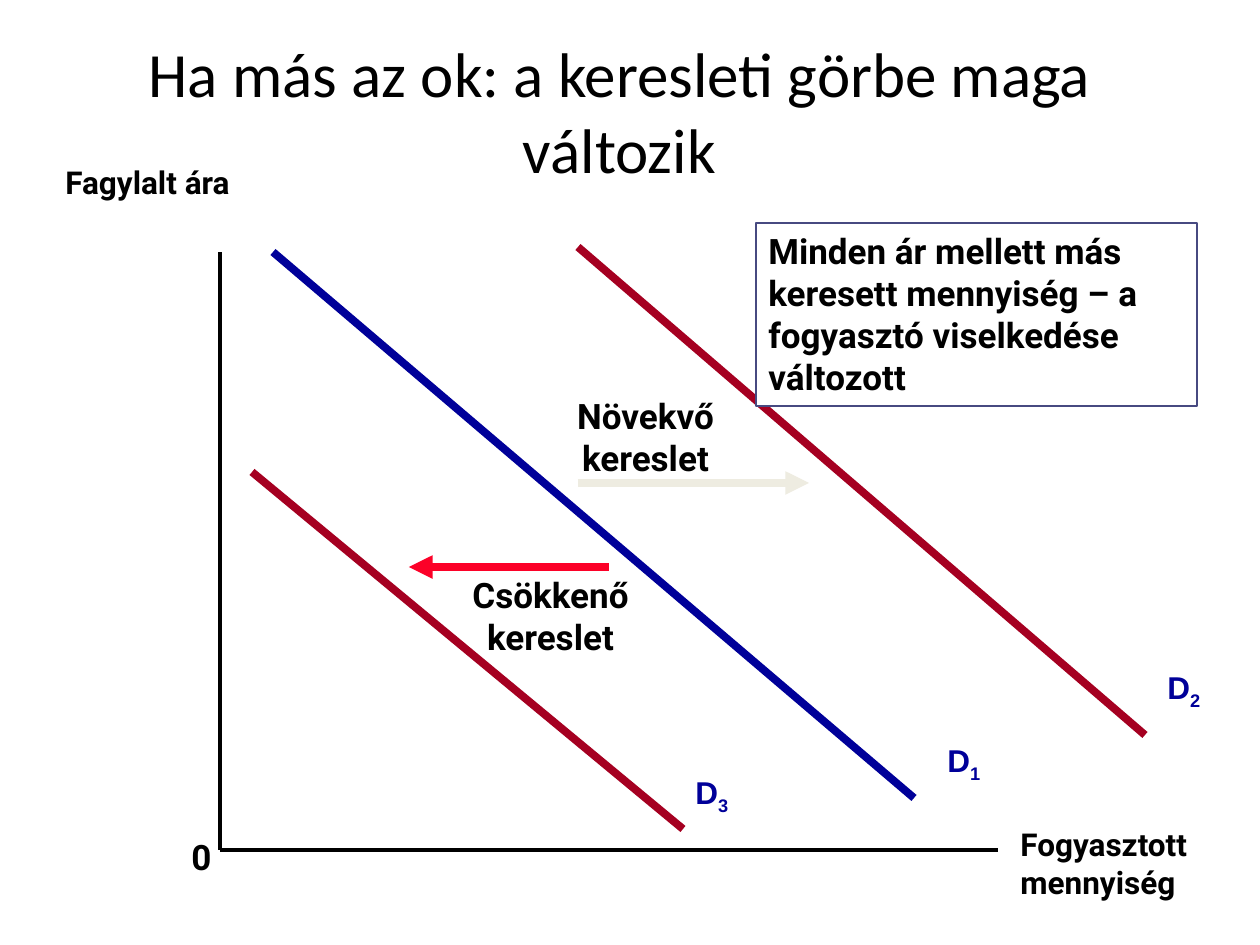
"""Build a slide on how the demand curve itself shifts."""
from dataclasses import dataclass

from lxml import etree
from pptx import Presentation
from pptx import util as u
from pptx.dml.color import RGBColor
from pptx.enum import shapes, text
from pptx.oxml import ns

SCALE = 914400 / 126


@dataclass(frozen=True)
class Theme:
    black: str = "000000"
    white: str = "FFFFFF"
    blue: str = "000099"
    wine: str = "A50021"
    red: str = "FC0128"
    sand: str = "EEECE1"
    edge: str = "474A81"
    head: int = 36
    body: int = 20
    small: int = 18
    thick: float = 4.5
    thin: float = 2.25
    rim: float = 1


T = Theme()


@dataclass(frozen=True)
class Line:
    start: tuple[int, int]
    end: tuple[int, int]
    color: str
    width: float = T.thick
    arrow: bool = False


@dataclass(frozen=True)
class Label:
    words: str
    box: tuple[int, int, int, int]
    size: int = T.body
    font: str = "Roboto"
    color: str = T.black
    bold: bool = True
    mid: bool = False
    sub: str = ""
    frame: bool = False


def px(*nums: int) -> list[u.Emu]:
    """Turn pixel lengths into EMU."""
    return [u.Emu(round(n * SCALE)) for n in nums]


def rgb(code: str) -> RGBColor:
    """Read a colour code."""
    return RGBColor.from_string(code)


def assign(item: object, fmt: dict) -> None:
    """Set each format value on an item."""
    for key, val in fmt.items():
        setattr(item, key, val)


def draw_line(slide, line: Line) -> None:
    """Draw a straight line, with an arrowhead if asked."""
    link = slide.shapes.add_connector(
        shapes.MSO_CONNECTOR.STRAIGHT, *px(*line.start, *line.end))
    link.line.width = u.Pt(line.width)
    link.line.color.rgb = rgb(line.color)
    props = link._element.spPr
    if line.arrow:
        tip = etree.SubElement(props.find(ns.qn("a:ln")), ns.qn("a:tailEnd"))
        tip.set("type", "triangle")
    etree.SubElement(props, ns.qn("a:effectLst"))


def draw_label(slide, label: Label) -> None:
    """Draw a text label, in a framed box if asked."""
    area = px(*label.box)
    if label.frame:
        shape = slide.shapes.add_shape(shapes.MSO_SHAPE.RECTANGLE, *area)
        shape.shadow.inherit = False
        shape.fill.solid()
        shape.fill.fore_color.rgb = rgb(T.white)
        shape.line.color.rgb = rgb(T.edge)
        shape.line.width = u.Pt(T.rim)
    else:
        shape = slide.shapes.add_textbox(*area)
    frame = shape.text_frame
    head = label.size == T.head
    assign(frame, {
        "word_wrap": True,
        "auto_size": (text.MSO_AUTO_SIZE.NONE if head
                      else text.MSO_AUTO_SIZE.SHAPE_TO_FIT_TEXT),
        "vertical_anchor": text.MSO_ANCHOR.MIDDLE if head else text.MSO_ANCHOR.TOP,
    })
    para = frame.paragraphs[0]
    para.alignment = text.PP_ALIGN.CENTER if label.mid else text.PP_ALIGN.LEFT
    fmt = {"name": label.font, "size": u.Pt(label.size), "bold": label.bold}
    for words in filter(None, (label.words, label.sub)):
        run = para.add_run()
        run.text = words
        assign(run.font, fmt)
        run.font.color.rgb = rgb(label.color)
    if label.sub:
        run._r.get_or_add_rPr().set("baseline", "-25000")


def curve(num: str, left: int, top: int) -> Label:
    """Name a demand curve."""
    return Label("D", (left, top, 105, 79), T.small, "Arial", T.blue, sub=num)


LINES = [
    Line((220, 252), (220, 850), T.black, T.thin),
    Line((220, 850), (998, 850), T.black, T.thin),
    Line((273, 252), (914, 798), T.blue),
    Line((578, 247), (1145, 735), T.wine),
    Line((252, 472), (683, 829), T.wine),
    Line((609, 567), (409, 567), T.red, arrow=True),
    Line((578, 483), (809, 483), T.sand, arrow=True),
]

LABELS = [
    Label("Ha más az ok: a keresleti görbe maga változik", (84, 32, 1071, 157),
          T.head, "Calibri", bold=False, mid=True),
    Label("0", (179, 829, 105, 54)),
    Label("Fagylalt ára", (53, 157, 210, 89), T.small),
    Label("Fogyasztott mennyiség", (1008, 819, 231, 89), T.small),
    curve("1", 935, 735),
    curve("2", 1155, 662),
    curve("3", 683, 767),
    Label("Növekvő kereslet", (504, 388, 283, 97), mid=True),
    Label("Csökkenő kereslet", (409, 567, 283, 97), mid=True),
    Label("Minden ár mellett más keresett mennyiség – a fogyasztó "
          "viselkedése változott", (756, 223, 441, 183), frame=True),
]


def main() -> None:
    """Build and save the slide."""
    deck = Presentation()
    wide, high = px(1260, 945)
    assign(deck, {"slide_width": wide, "slide_height": high})
    slide = deck.slides.add_slide(deck.slide_layouts[6])
    for line in LINES:
        draw_line(slide, line)
    for label in LABELS:
        draw_label(slide, label)
    deck.save("out.pptx")


if __name__ == "__main__":
    main()
